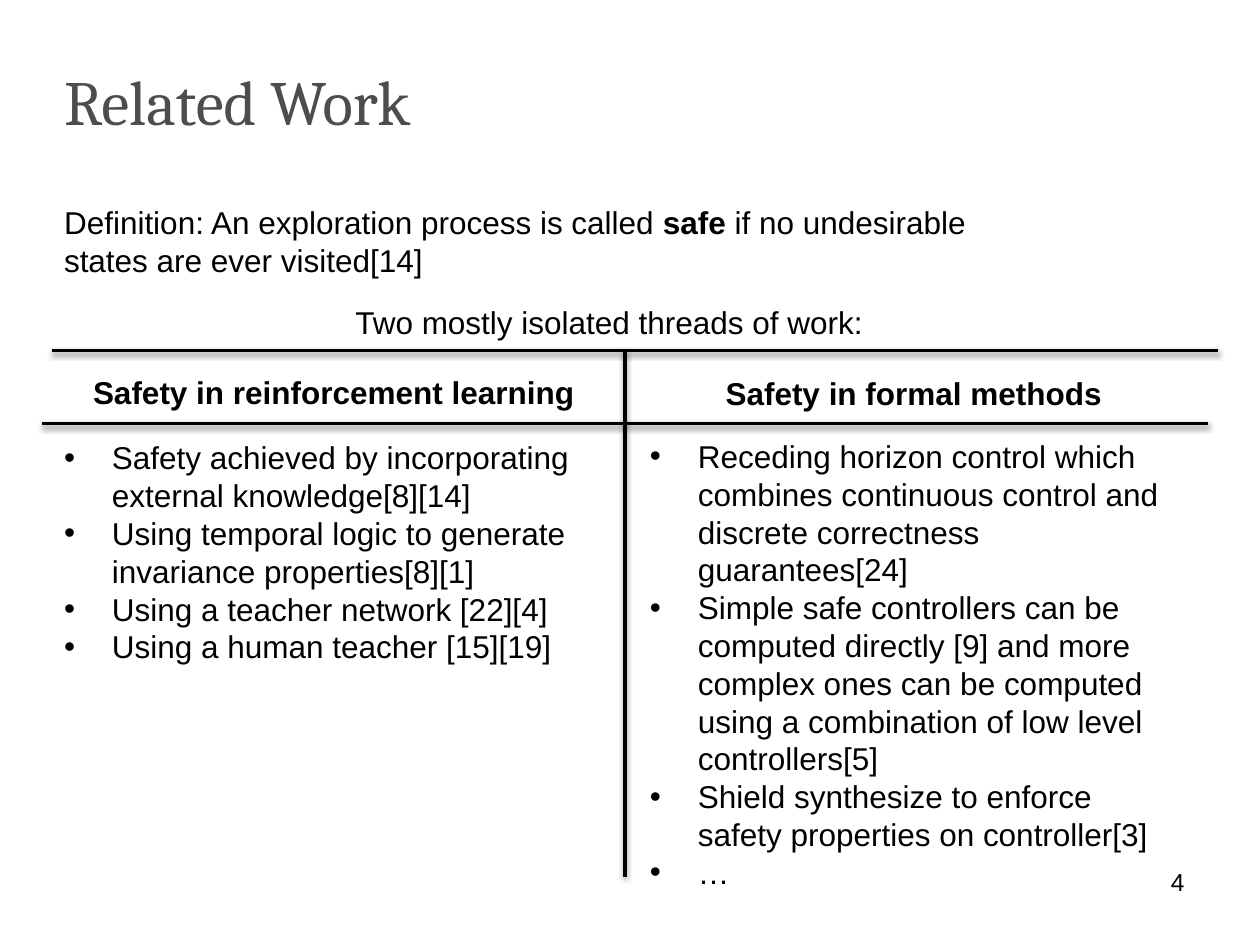
from lxml import etree
from pptx import Presentation
from pptx.dml.color import RGBColor
from pptx.enum.shapes import MSO_CONNECTOR as Connector
from pptx.enum.text import MSO_ANCHOR as Anchor, PP_ALIGN as Align
from pptx.oxml import parse_xml
from pptx.oxml.ns import nsdecls, qn
from pptx.util import Inches, Pt

BLACK = RGBColor(0, 0, 0)
GRAY = RGBColor(0x4D, 0x4D, 0x4D)
BODY = {"name": "Arial", "size": Pt(18), "bold": False}
BOLD = {**BODY, "bold": True}
TITLE = {"name": "Cambria", "size": Pt(36)}
NUMBER = {"name": "Arial", "size": Pt(14)}
SHADOW = (
    f'<a:effectLst {nsdecls("a")}>'
    f'<a:outerShdw blurRad="{Pt(3.1)}" dist="{Pt(1.6)}" dir="5400000" rotWithShape="0">'
    '<a:srgbClr val="000000"><a:alpha val="38000"/></a:srgbClr>'
    '</a:outerShdw></a:effectLst>'
)


def add_box(page, area, wrap=True, anchor=Anchor.TOP):
    box = page.shapes.add_textbox(*map(Inches, area))
    box.text_frame.word_wrap = wrap
    box.text_frame.vertical_anchor = anchor
    return box.text_frame


def add_span(para, text, style, color=BLACK):
    span = para.add_run()
    span.text = text
    for key, value in style.items():
        setattr(span.font, key, value)
    span.font.color.rgb = color


def add_label(page, area, text, style, color=BLACK, align=Align.LEFT, **layout):
    para = add_box(page, area, **layout).paragraphs[0]
    para.alignment = align
    add_span(para, text, style, color)


def add_definition(page, area):
    para = add_box(page, area, wrap=False).paragraphs[0]
    add_span(para, "Definition: An exploration process is called ", BODY)
    add_span(para, "safe ", BOLD)
    add_span(para, "if no undesirable ", BODY)
    para.add_line_break()
    add_span(para, "states are ever visited[14]", BODY)


def add_bullets(page, area, items):
    frame = add_box(page, area)
    for index, item in enumerate(items):
        para = frame.paragraphs[0] if index == 0 else frame.add_paragraph()
        add_span(para, item, BODY)
        props = para._p.get_or_add_pPr()
        props.set("marL", str(Inches(0.38)))
        props.set("indent", str(-Inches(0.38)))
        etree.SubElement(props, qn("a:buFont"), typeface="Arial")
        etree.SubElement(props, qn("a:buChar"), char="•")


def add_rule(page, start, end):
    rule = page.shapes.add_connector(
        Connector.STRAIGHT, *map(Inches, (*start, *end)))
    rule.line.color.rgb = BLACK
    rule.line.width = Pt(2)
    rule._element.spPr.append(parse_xml(SHADOW))


def add_comparison(page, left, top, width, height):
    middle = left + 4.55
    add_rule(page, (middle, top), (middle, top + height))
    add_rule(page, (left, top), (left + width, top))
    add_rule(page, (left - 0.08, top + 0.58), (left - 0.08 + width, top + 0.58))
    add_label(page, (left + 0.23, top + 0.13, 4.06, 0.4),
              "Safety in reinforcement learning", BOLD, wrap=False)
    add_label(page, (middle + 0.7, top + 0.14, 3.22, 0.4),
              "Safety in formal methods", BOLD, wrap=False)
    add_bullets(page, (left, top + 0.65, 4.29, 1.92), [
        "Safety achieved by incorporating external knowledge[8][14]",
        "Using temporal logic to generate invariance properties[8][1]",
        "Using a teacher network [22][4]",
        "Using a human teacher [15][19]",
    ])
    add_bullets(page, (middle + 0.1, top + 0.64, 4.29, 4.04), [
        "Receding horizon control which combines continuous control and "
        "discrete correctness guarantees[24]",
        "Simple safe controllers can be computed directly [9] and more complex "
        "ones can be computed using a combination of low level controllers[5]",
        "Shield synthesize to enforce safety properties on controller[3]",
        "…",
    ])


def main():
    deck = Presentation()
    deck.slide_width, deck.slide_height = Inches(10), Inches(7.5)
    page = deck.slides.add_slide(deck.slide_layouts[6])
    add_label(page, (0.41, 0.17, 7.49, 1.25), "Related Work", TITLE, GRAY,
              anchor=Anchor.MIDDLE)
    add_definition(page, (0.41, 1.56, 7.49, 0.71))
    add_label(page, (2.7, 2.36, 4.27, 0.4), "Two mostly isolated threads of work:",
              BODY, align=Align.CENTER, wrap=False)
    add_comparison(page, 0.41, 2.78, 9.26, 4.18)
    add_label(page, (7.17, 6.83, 2.33, 0.52), "4", NUMBER, align=Align.RIGHT)
    deck.save("out.pptx")


if __name__ == "__main__":
    main()
